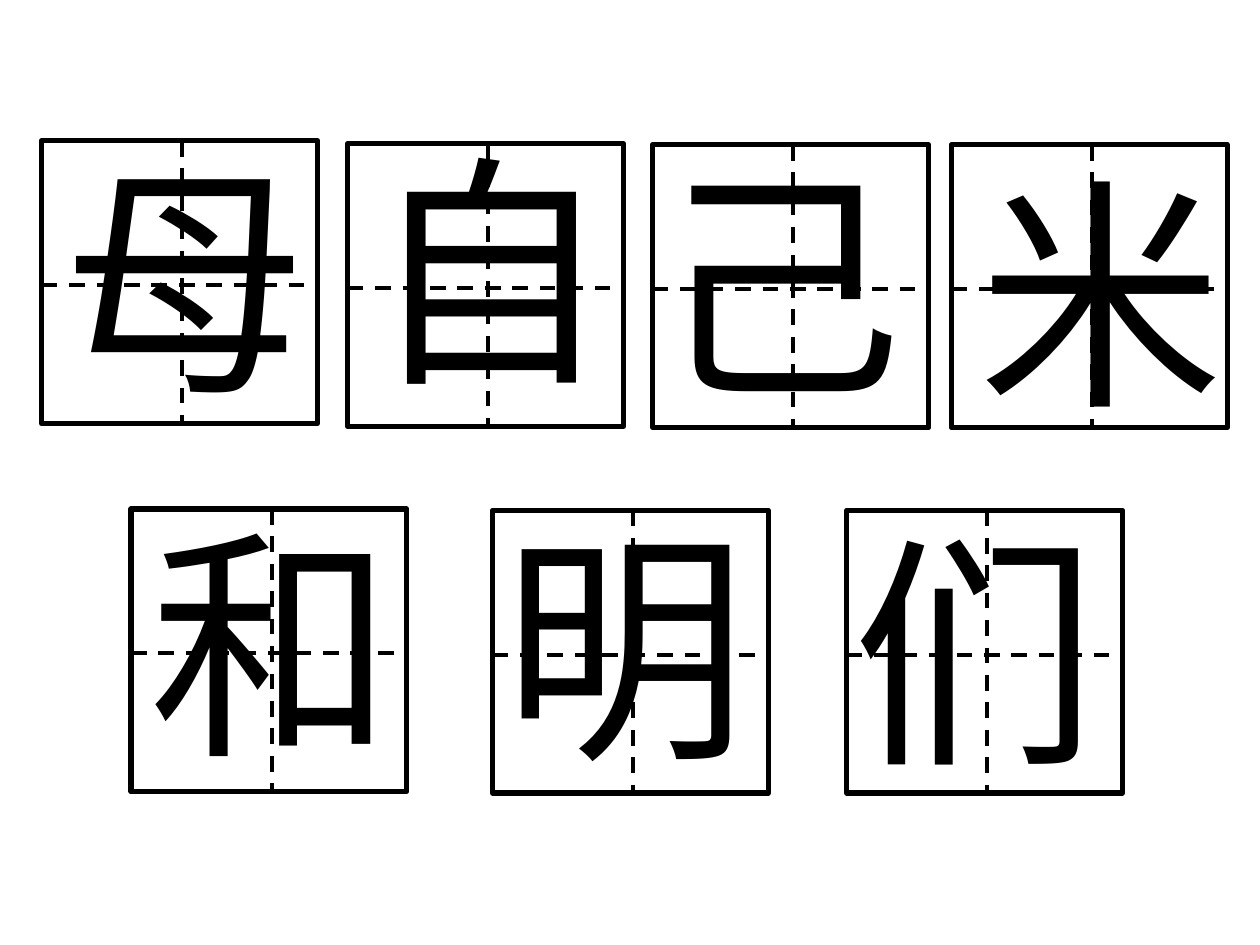
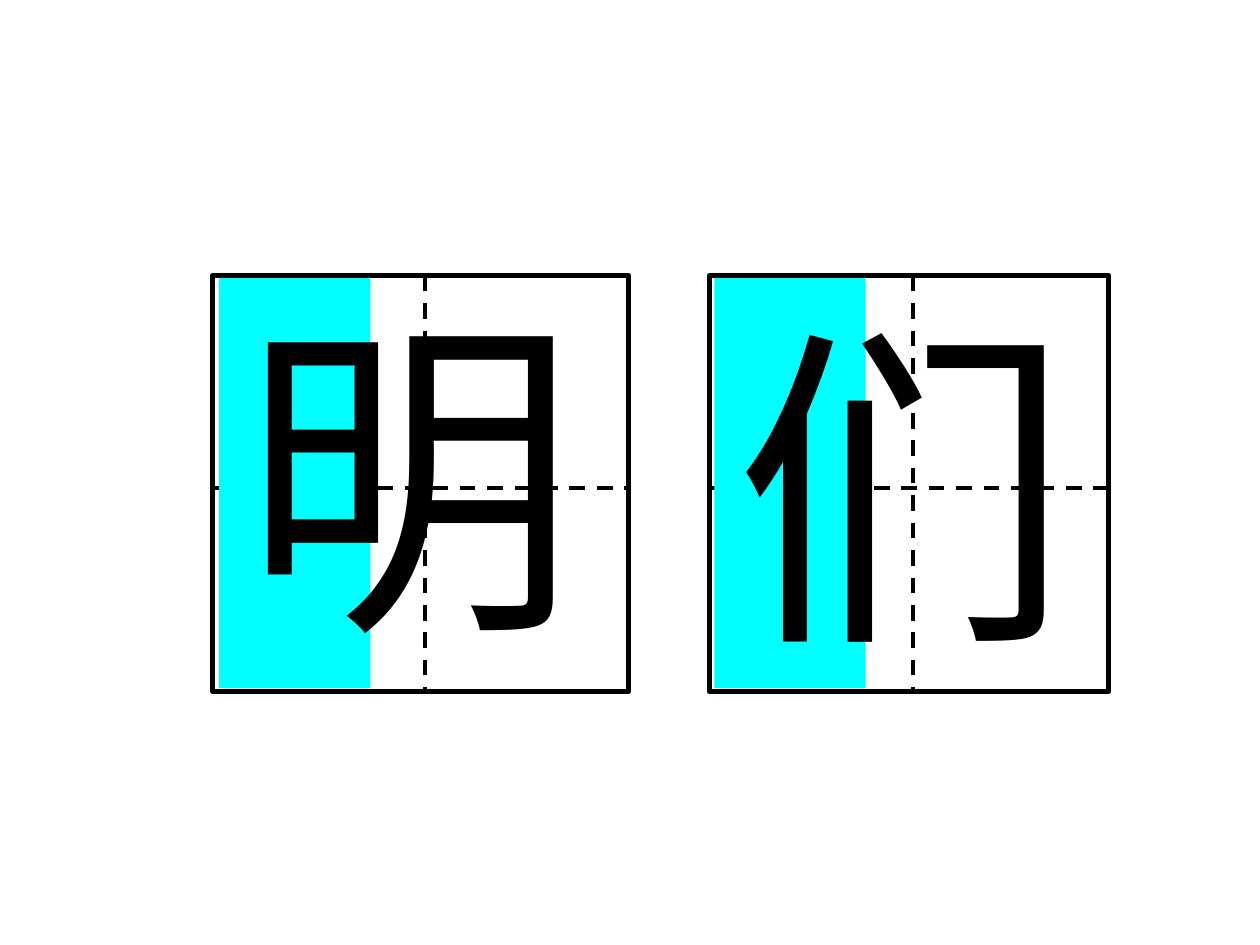
import pptx
import pptx.dml.color
import pptx.enum.dml
import pptx.enum.shapes
import pptx.enum.text
import pptx.oxml
import pptx.oxml.ns
import pptx.util

Cm = pptx.util.Cm
Pt = pptx.util.Pt
BLACK = pptx.dml.color.RGBColor(0x00, 0x00, 0x00)
WHITE = pptx.dml.color.RGBColor(0xFF, 0xFF, 0xFF)
CYAN = pptx.dml.color.RGBColor(0x00, 0xFF, 0xFF)
FONT = "Arial"
GUIDE_RATIO = 0.51  # the dashed guides sit just past the middle of a square

# Character, square left and top, text left, top and width (cm)
WORD_SQUARE = (5.56, 5.7)
WORDS = [
    ("母", 0.84, 2.84, 1.02, 2.46, 5.51),
    ("自", 7.01, 2.9, 7.16, 2.29, 7.01),
    ("己", 13.16, 2.92, 13.0, 2.54, 7.09),
    ("米", 19.18, 2.92, 19.48, 2.74, 5.9),
    ("和", 2.64, 10.26, 2.77, 9.8, 6.2),
    ("明", 9.93, 10.29, 9.88, 9.86, 6.25),
    ("们", 17.07, 10.29, 16.94, 9.96, 7.01),
]

# Character, square left and width, radical band left, text left, top and width (cm)
RADICAL_TOP, RADICAL_HEIGHT = 5.56, 8.38
RADICALS = [
    ("明", 4.29, 8.38, 4.42, 4.62, 5.28, 7.01),
    ("们", 14.3, 8.05, 14.4, 14.55, 5.51, 7.52),
]


def add_rectangle(shapes, left, top, width, height, fill=None, outline=None):
    shape = shapes.add_shape(pptx.enum.shapes.MSO_SHAPE.RECTANGLE,
                             Cm(left), Cm(top), Cm(width), Cm(height))
    shape.shadow.inherit = False
    if fill is None:
        shape.fill.background()
    else:
        shape.fill.solid()
        shape.fill.fore_color.rgb = fill
    if outline is None:
        shape.line.fill.background()
    else:
        shape.line.color.rgb = outline
        shape.line.width = Pt(3)


def add_guide(shapes, left, top, right, bottom):
    guide = shapes.add_connector(pptx.enum.shapes.MSO_CONNECTOR.STRAIGHT,
                                 Cm(left), Cm(top), Cm(right), Cm(bottom))
    guide.line.color.rgb = BLACK
    guide.line.width = Pt(2.25)
    guide.line.dash_style = pptx.enum.dml.MSO_LINE.DASH
    properties = guide._element.spPr
    properties.append(pptx.oxml.parse_xml(
        f"<a:effectLst {pptx.oxml.ns.nsdecls('a')}/>"))


def add_practice_square(slide, left, top, width, height, fill=None):
    shapes = slide.shapes.add_group_shape().shapes
    add_rectangle(shapes, left, top, width, height, fill, BLACK)
    middle = top + height * GUIDE_RATIO
    centre = left + width * GUIDE_RATIO
    add_guide(shapes, left, middle, left + width, middle)
    add_guide(shapes, centre, top, centre, top + height)


def add_character(slide, character, left, top, width, height, size):
    box = slide.shapes.add_textbox(Cm(left), Cm(top), Cm(width), Cm(height))
    text_frame = box.text_frame
    text_frame.word_wrap = True
    text_frame.auto_size = pptx.enum.text.MSO_AUTO_SIZE.SHAPE_TO_FIT_TEXT
    text_frame.text = character
    font = text_frame.paragraphs[0].runs[0].font
    font.name = FONT
    font.size = Pt(size)
    font.color.rgb = BLACK


def build_word_slide(slide):
    for _, left, top, *_ in WORDS:
        add_practice_square(slide, left, top, *WORD_SQUARE, WHITE)
    for character, _, _, left, top, width in WORDS:
        add_character(slide, character, left, top, width, 6.2, 140)


def build_radical_slide(slide):
    for _, left, width, *_ in RADICALS:
        add_practice_square(slide, left, RADICAL_TOP, width, RADICAL_HEIGHT)
    for character, _, _, band_left, left, top, width in RADICALS:
        add_rectangle(slide.shapes, band_left, 5.61, 3.05, 8.26, CYAN)
        add_character(slide, character, left, top, width, 8.38, 192)


def main():
    presentation = pptx.Presentation()
    presentation.slide_width = Cm(25.4)
    presentation.slide_height = Cm(19.05)
    blank_layout = presentation.slide_layouts[6]
    for build in (build_word_slide, build_radical_slide):
        build(presentation.slides.add_slide(blank_layout))
    presentation.save("out.pptx")


if __name__ == "__main__":
    main()
